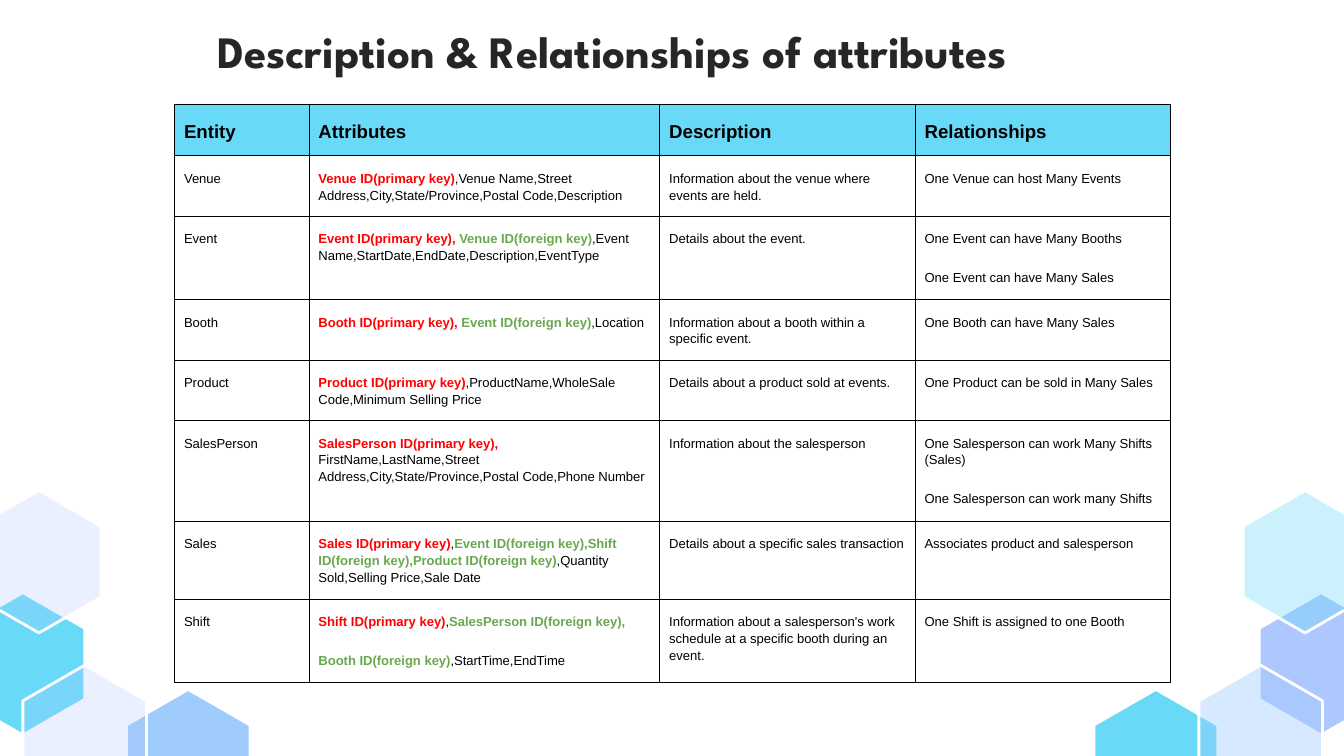
from lxml.etree import SubElement
from pptx import Presentation
from pptx.dml.color import RGBColor
from pptx.oxml import parse_xml
from pptx.oxml.ns import nsdecls, qn
from pptx.util import Inches, Pt

BLACK, WHITE, RED, GREEN = "000000", "FFFFFF", "FF0000", "6AA84F"
CYAN, BLUE, LILAC = "68DAF8", "9FCBFD", "AFC7FF"

HEXES = [
    (8.14, 5.13, CYAN, 100),
    (0.94, 5.13, BLUE, 100),
    (-0.29, 4.41, CYAN, 100),
    (0.17, 4.95, LILAC, 25),
    (-0.17, 3.65, LILAC, 25),
    (9.37, 4.41, LILAC, 100),
    (8.92, 4.95, BLUE, 41),
    (9.25, 3.65, CYAN, 34),
]

COLS = [1, 2.61, 1.9, 1.9]
HEIGHTS = [0.38, 0.45, 0.62, 0.45, 0.45, 0.75, 0.58, 0.62]
ROWS = [
    ("Entity", "Attributes", "Description", "Relationships"),
    ("Venue",
     "Venue ID(primary key)|,Venue Name,Street Address,City,State/Province,Postal Code,Description",
     "Information about the venue where events are held.",
     "One Venue can host Many Events"),
    ("Event",
     "Event ID(primary key), |Venue ID(foreign key)|,Event Name,StartDate,EndDate,Description,EventType",
     "Details about the event.",
     "One Event can have Many Booths\nOne Event can have Many Sales"),
    ("Booth",
     "Booth ID(primary key), |Event ID(foreign key)|,Location",
     "Information about a booth within a specific event.",
     "One Booth can have Many Sales"),
    ("Product",
     "Product ID(primary key)|,ProductName,WholeSale Code,Minimum Selling Price",
     "Details about a product sold at events.",
     "One Product can be sold in Many Sales"),
    ("SalesPerson",
     "SalesPerson ID(primary key), |FirstName,LastName,Street Address,City,State/Province,Postal Code,Phone Number",
     "Information about the salesperson",
     "One Salesperson can work Many Shifts (Sales)\nOne Salesperson can work many Shifts"),
    ("Sales",
     "Sales ID(primary key)|,|Event ID(foreign key),Shift ID(foreign key),Product ID(foreign key)"
     "|,Quantity Sold,Selling Price,Sale Date",
     "Details about a specific sales transaction",
     "Associates product and salesperson"),
    ("Shift",
     "Shift ID(primary key)|,|SalesPerson ID(foreign key),\nBooth ID(foreign key)|,StartTime,EndTime",
     "Information about a salesperson's work schedule at a specific booth during an event.",
     "One Shift is assigned to one Booth"),
]


def rgb(code):
    return RGBColor.from_string(code)


def style(run, size, face, color, bold):
    font = run.font
    font.size, font.name, font.bold = Pt(size), face, bold
    font.color.rgb = rgb(color)


def add_hex(slide, left, top, color, alpha):
    wide, high = 0.92, 1.06
    spots = [(0.5, 0), (1, 0.25), (1, 0.75), (0.5, 1), (0, 0.75), (0, 0.25)]
    points = [(Inches(left + wide * x), Inches(top + high * y)) for x, y in spots]
    form = slide.shapes.build_freeform(*points[0])
    form.add_line_segments(points[1:], close=True)
    shape = form.convert_to_shape()
    shape.shadow.inherit = False
    shape.fill.solid()
    shape.fill.fore_color.rgb = rgb(color)
    shape.line.color.rgb = rgb(WHITE)
    shape.line.width = Pt(1.5)
    if alpha < 100:
        tint = shape._element.spPr.find(qn("a:solidFill"))[0]
        SubElement(tint, qn("a:alpha"), val=str(alpha * 1000))


def add_title(slide, text):
    box = slide.shapes.add_textbox(Inches(1.52), Inches(0.08), Inches(6.96), Inches(0.61))
    frame = box.text_frame
    frame.word_wrap = True
    frame.margin_left = frame.margin_right = Inches(0.1)
    frame.margin_top = frame.margin_bottom = Inches(0.1)
    frame.text = text
    style(frame.paragraphs[0].runs[0], 24, "League Spartan", "262626", True)


def add_edges(cell):
    props = cell._tc.get_or_add_tcPr()
    for i, side in enumerate("LRTB"):
        props.insert(i, parse_xml(
            f'<a:ln{side} {nsdecls("a")} w="9525"><a:solidFill>'
            f'<a:srgbClr val="{BLACK}"/></a:solidFill></a:ln{side}>'))


def key_color(text):
    if "(primary key)" in text:
        return RED
    return GREEN if "(foreign key)" in text else BLACK


def fill_cell(cell, text, head):
    cell.margin_left = cell.margin_right = Inches(0.07)
    cell.margin_top = cell.margin_bottom = Inches(0.1)
    if head:
        cell.fill.solid()
        cell.fill.fore_color.rgb = rgb(CYAN)
    else:
        cell.fill.background()
    add_edges(cell)
    frame = cell.text_frame
    frame.text = text.replace("|", "")
    for i, (para, line) in enumerate(zip(frame.paragraphs, text.split("\n"))):
        para.line_spacing = 1.15
        if i:
            para.space_before = Pt(12)
        para.clear()
        for part in line.split("|"):
            run = para.add_run()
            run.text = part
            color = key_color(part)
            style(run, 10 if head else 7, "Arial", color, head or color != BLACK)


def add_grid(slide):
    frame = slide.shapes.add_table(
        len(ROWS), len(COLS), Inches(1.3), Inches(0.78),
        Inches(sum(COLS)), Inches(sum(HEIGHTS)))
    table = frame.table
    table.first_row = table.horz_banding = False
    for col, wide in zip(table.columns, COLS):
        col.width = Inches(wide)
    for r, (row, high) in enumerate(zip(table.rows, HEIGHTS)):
        row.height = Inches(high)
        for cell, text in zip(row.cells, ROWS[r]):
            fill_cell(cell, text, r == 0)


def main():
    deck = Presentation()
    deck.slide_width = Inches(10)
    deck.slide_height = deck.slide_width * 9 // 16
    slide = deck.slides.add_slide(deck.slide_layouts[6])
    for item in HEXES:
        add_hex(slide, *item)
    add_grid(slide)
    add_title(slide, "Description & Relationships of attributes")
    deck.save("out.pptx")


if __name__ == "__main__":
    main()
